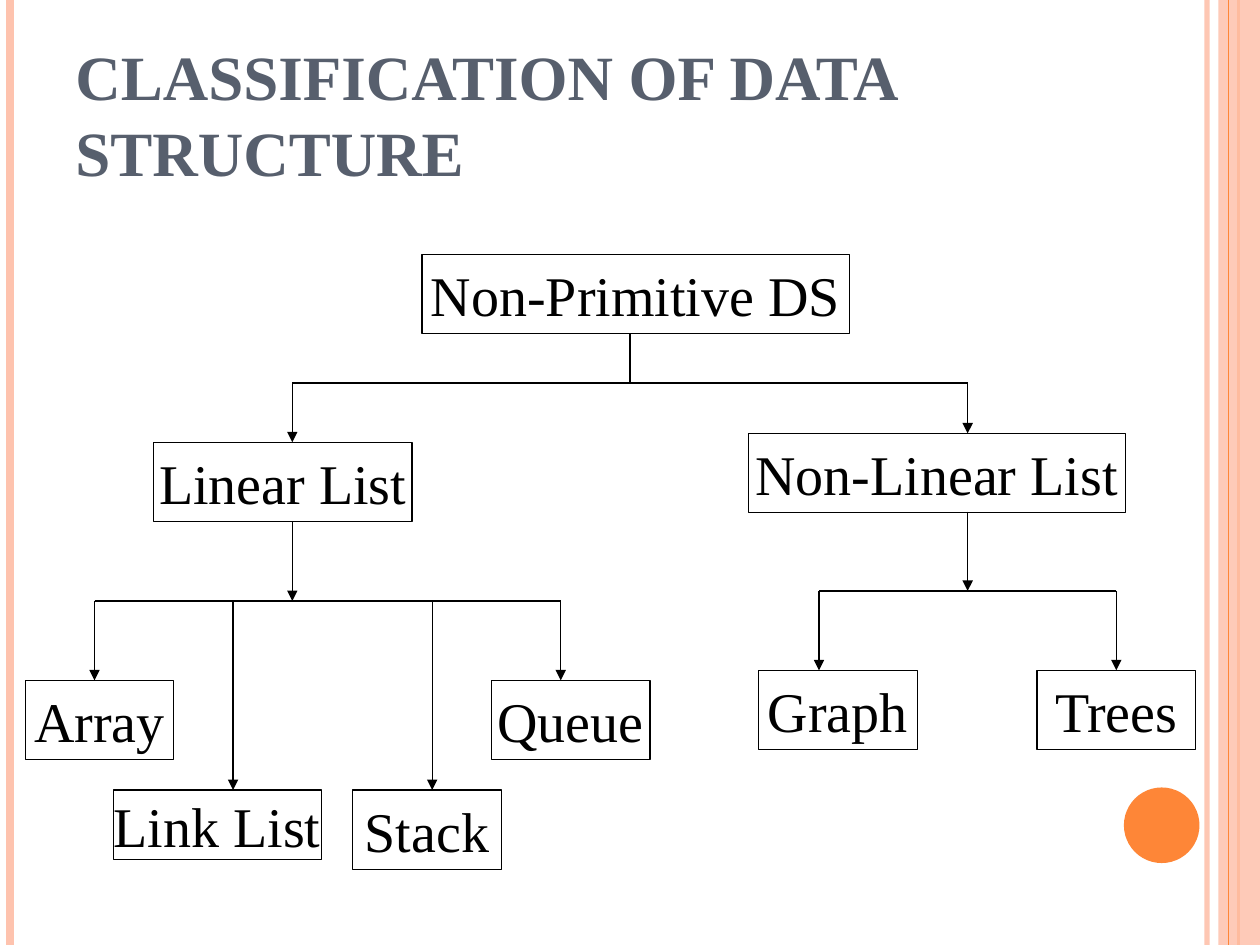
from dataclasses import dataclass

from lxml.etree import SubElement
from pptx import Presentation
from pptx.dml.color import RGBColor
from pptx.enum.shapes import MSO_CONNECTOR, MSO_SHAPE
from pptx.enum.text import MSO_ANCHOR, PP_ALIGN
from pptx.oxml.ns import qn
from pptx.slide import Slide
from pptx.util import Inches, Pt


def color(value):
    return RGBColor.from_string(value)


def set_opacity(element, percent):
    rgb = element.find(".//" + qn("a:srgbClr"))
    SubElement(rgb, qn("a:alpha"), val=str(percent * 1000))


@dataclass
class DiagramSlide:
    slide: Slide
    font: str = "Times New Roman"
    ink: str = "000000"
    paper: str = "FFFFFF"
    heading: str = "575F6D"
    accent: str = "FE8637"
    tint: str = "FEC3AE"
    title_size: int = 36
    box_size: int = 32
    line_width: float = 0.75

    def set_text(self, shape, text, size, text_color, bold=False):
        shape.text_frame.text = text
        paragraph = shape.text_frame.paragraphs[0]
        for run in paragraph.runs:
            run.font.name = self.font
            run.font.size = Pt(size)
            run.font.bold = bold
            run.font.color.rgb = color(text_color)
        return paragraph

    def title(self, text, left, top, width, height):
        shape = self.slide.shapes.add_textbox(
            Inches(left), Inches(top), Inches(width), Inches(height))
        shape.text_frame.word_wrap = True
        shape.text_frame.vertical_anchor = MSO_ANCHOR.BOTTOM
        self.set_text(shape, text, self.title_size, self.heading, bold=True)

    def shape(self, kind, left, top, width, height, fill, opacity=100):
        shape = self.slide.shapes.add_shape(
            kind, Inches(left), Inches(top), Inches(width), Inches(height))
        shape.shadow.inherit = False
        shape.fill.solid()
        shape.fill.fore_color.rgb = color(fill)
        shape.line.fill.background()
        if opacity < 100:
            set_opacity(shape._element.spPr, opacity)
        return shape

    def box(self, text, left, top, width, height=0.63):
        shape = self.shape(MSO_SHAPE.RECTANGLE, left, top, width, height, self.paper)
        shape.line.color.rgb = color(self.ink)
        shape.line.width = Pt(self.line_width)
        shape.text_frame.word_wrap = False
        shape.text_frame.vertical_anchor = MSO_ANCHOR.MIDDLE
        paragraph = self.set_text(shape, text, self.box_size, self.ink)
        paragraph.alignment = PP_ALIGN.CENTER

    def line(self, start, end, line_color=None, width=None, arrow=False, opacity=100):
        connector = self.slide.shapes.add_connector(
            MSO_CONNECTOR.STRAIGHT, *(Inches(value) for value in (*start, *end)))
        connector.line.color.rgb = color(line_color or self.ink)
        connector.line.width = Pt(width or self.line_width)
        properties = connector._element.spPr
        if opacity < 100:
            set_opacity(properties, opacity)
        if arrow:
            SubElement(properties.find(qn("a:ln")), qn("a:tailEnd"), type="triangle")
        SubElement(properties, qn("a:effectLst"))

    def rule(self, x, line_color, width, opacity=100):
        self.line((x, 0), (x, 7.5), line_color, width, opacity=opacity)

    def branch(self, stem, top, bar, drops, stem_arrow=True):
        self.line((stem, top), (stem, bar), arrow=stem_arrow)
        self.line((min(drops), bar), (max(drops), bar))
        for x, bottom in drops.items():
            self.line((x, bar), (x, bottom), arrow=True)

    def frame(self):
        self.rule(9.58, self.tint, 3, opacity=93)
        self.rule(0.08, self.tint, 4.5)
        self.rule(9.83, self.accent, 1.5)
        self.shape(MSO_SHAPE.RECTANGLE, 9.67, 0, 0.33, 7.5, self.tint, opacity=87)
        self.rule(9.75, self.accent, 0.75)
        self.shape(MSO_SHAPE.OVAL, 8.92, 6.25, 0.6, 0.6, self.accent)


def main():
    presentation = Presentation()
    presentation.slide_width = Inches(10)
    presentation.slide_height = Inches(7.5)
    diagram = DiagramSlide(presentation.slides.add_slide(presentation.slide_layouts[6]))

    diagram.frame()
    diagram.title("CLASSIFICATION OF DATA STRUCTURE", 0.5, 0.3, 8.17, 1.25)

    diagram.box("Non-Primitive DS", 3.35, 2.02, 3.39)
    diagram.box("Linear List", 1.22, 3.51, 2.05)
    diagram.box("Non-Linear List", 5.94, 3.44, 2.99)
    diagram.box("Array", 0.2, 5.4, 1.18)
    diagram.box("Link List", 0.9, 6.27, 1.65, 0.55)
    diagram.box("Stack", 2.8, 6.27, 1.18)
    diagram.box("Queue", 3.9, 5.4, 1.26)
    diagram.box("Graph", 6.02, 5.32, 1.26)
    diagram.box("Trees", 8.23, 5.32, 1.26)

    diagram.branch(5, 2.65, 3.04, {2.32: 3.51, 7.68: 3.44}, stem_arrow=False)
    diagram.branch(2.32, 4.14, 4.77, {0.75: 5.4, 1.85: 6.27, 3.43: 6.27, 4.45: 5.4})
    diagram.branch(7.68, 4.06, 4.69, {6.5: 5.32, 8.86: 5.32})

    presentation.save("out.pptx")


if __name__ == "__main__":
    main()
